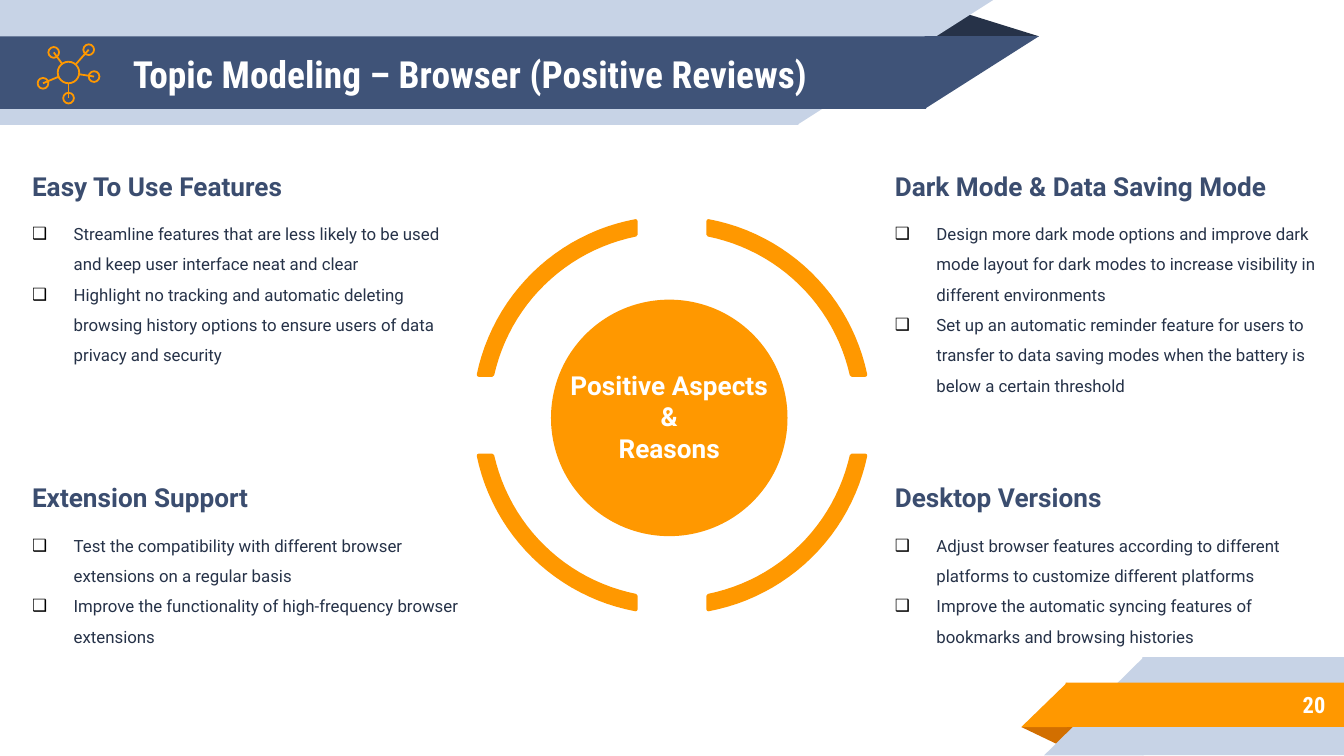
from math import acos, asin, cos, hypot, sin

from lxml.etree import SubElement
from pptx import Presentation
from pptx.dml.color import RGBColor
from pptx.enum.shapes import MSO_CONNECTOR as Connector, MSO_SHAPE as Shape
from pptx.enum.text import MSO_ANCHOR as Anchor, MSO_AUTO_SIZE as AutoSize, PP_ALIGN as Align
from pptx.oxml.ns import qn
from pptx.util import Inches, Pt

# Content
TITLE = "Topic Modeling – Browser (Positive Reviews)"
PAGE_NUMBER = "20"
CENTER_LINES = ["Positive Aspects", "&", "Reasons"]
# column, row, heading, body height, bullets
TOPICS = [
    (1, 0, "Dark Mode & Data Saving Mode", 1.44, [
        "Design more dark mode options and improve dark mode layout for dark modes "
        "to increase visibility in different environments",
        "Set up an automatic reminder feature for users to transfer to data saving "
        "modes when the battery is below a certain threshold"]),
    (1, 1, "Desktop Versions", 0.98, [
        "Adjust browser features according to different platforms to customize "
        "different platforms",
        "Improve the automatic syncing features of bookmarks and browsing histories"]),
    (0, 0, "Easy To Use Features", 1.21, [
        "Streamline features that are less likely to be used and keep user interface "
        "neat and clear",
        "Highlight no tracking and automatic deleting browsing history options to "
        "ensure users of data privacy and security"]),
    (0, 1, "Extension Support", 0.98, [
        "Test the compatibility with different browser extensions on a regular basis",
        "Improve the functionality of high-frequency browser extensions"]),
]

COLORS = {"dark": "263248", "pale": "C7D3E6", "navy": "3F5378", "heading": "3B4D6F",
          "orange": "FF9800", "rust": "D26F00", "white": "FFFFFF", "black": "000000"}

# Layout, in inches
SLIDE_WIDTH = 10
SLIDE_HEIGHT = SLIDE_WIDTH * 9 / 16
COLUMN_LEFTS = (0.14, 6.56)
ROW_TOPS = ((1.22, 1.54), (3.53, 3.86))  # heading, body
HEADING_WIDTH, HEADING_HEIGHT, BODY_WIDTH = 3.54, 0.34, 3.44
INDENT = 0.31

# shape, left, top, width, height, color, rotation, flipped; triangles overlap their band
BANNERS = [
    (Shape.ISOSCELES_TRIANGLE, 6.88, 0.09, 0.85, 0.18, "dark", 0, False),
    (Shape.RECTANGLE, 0, 0, 5.94, 0.93, "pale", 180, True),
    (Shape.RIGHT_TRIANGLE, 5.93, 0, 1.46, 0.93, "pale", 180, True),
    (Shape.RECTANGLE, 0, 0.27, 6.89, 0.54, "navy", 180, True),
    (Shape.RIGHT_TRIANGLE, 6.88, 0.27, 0.85, 0.54, "navy", 180, True),
    (Shape.ISOSCELES_TRIANGLE, 7.6, 5.41, 0.43, 0.14, "rust", 180, False),
    (Shape.RECTANGLE, 8.5, 4.89, 1.5, 0.73, "pale", 0, True),
    (Shape.RIGHT_TRIANGLE, 7.77, 4.89, 0.74, 0.73, "pale", 0, True),
    (Shape.RECTANGLE, 7.93, 5.08, 2.07, 0.33, "orange", 0, True),
    (Shape.RIGHT_TRIANGLE, 7.6, 5.08, 0.34, 0.33, "orange", 0, True),
]

# Network icon: hub and nodes given by their centers
HUB, HUB_RADIUS, NODE_RADIUS, ICON_LINE = (0.51, 0.54), 0.08, 0.04, 0.96
NODES = [(0.66, 0.37), (0.4, 0.39), (0.32, 0.62), (0.51, 0.73), (0.7, 0.57)]

# Ring: four arcs around a disc, cut square at half a gap from each axis
DISC_CENTER, DISC_RADIUS = (4.98, 3.11), 0.88
RING_CENTER, OUTER_RADIUS, INNER_RADIUS = (5, 3.09), 1.47, 1.37
HALF_GAP_X, HALF_GAP_Y, STEPS = 0.27, 0.3, 24

presentation = Presentation()
presentation.slide_width = Inches(SLIDE_WIDTH)
presentation.slide_height = Inches(SLIDE_HEIGHT)
slide = presentation.slides.add_slide(presentation.slide_layouts[6])


def rgb(name):
    return RGBColor.from_string(COLORS[name])


def paint(shape, fill=None, line=None, width=1):
    shape.shadow.inherit = False
    if fill:
        shape.fill.solid()
        shape.fill.fore_color.rgb = rgb(fill)
    else:
        shape.fill.background()
    if line:
        shape.line.color.rgb = rgb(line)
        shape.line.width = Pt(width)
    else:
        shape.line.fill.background()


def add_preset(kind, left, top, width, height):
    return slide.shapes.add_shape(kind, Inches(left), Inches(top), Inches(width), Inches(height))


def add_circle(center, radius, **style):
    x, y = center
    paint(add_preset(Shape.OVAL, x - radius, y - radius, 2 * radius, 2 * radius), **style)


def add_bullet(paragraph):
    properties = paragraph._p.get_or_add_pPr()
    properties.set("marL", str(Inches(INDENT)))
    properties.set("indent", str(-Inches(INDENT)))
    color = SubElement(properties, qn("a:buClr"))
    SubElement(color, qn("a:srgbClr"), val=COLORS["black"])
    SubElement(properties, qn("a:buFont"), typeface="Roboto")
    SubElement(properties, qn("a:buChar"), char="❑")


def add_text(box, lines, size, color, font="Roboto", bold=True, align=Align.LEFT,
             bullets=False, middle=False):
    shape = slide.shapes.add_textbox(*map(Inches, box))
    frame = shape.text_frame
    frame.word_wrap = True
    if middle:
        frame.vertical_anchor = Anchor.MIDDLE
        frame.margin_top = frame.margin_bottom = Inches(0.1)
    else:
        frame.auto_size = AutoSize.SHAPE_TO_FIT_TEXT
    for number, line in enumerate(lines):
        paragraph = frame.add_paragraph() if number else frame.paragraphs[0]
        paragraph.alignment = align
        if bullets:
            add_bullet(paragraph)
            paragraph.line_spacing = 1.5
        run = paragraph.add_run()
        run.text = line
        run.font.name, run.font.size, run.font.bold = font, Pt(size), bold
        run.font.color.rgb = rgb(color)


def add_arc(side_x, side_y):
    def edge(radius):
        start, end = asin(HALF_GAP_Y / radius), acos(HALF_GAP_X / radius)
        angles = [start + (end - start) * step / STEPS for step in range(STEPS + 1)]
        return [(Inches(RING_CENTER[0] + side_x * radius * cos(angle)),
                 Inches(RING_CENTER[1] + side_y * radius * sin(angle))) for angle in angles]

    points = edge(OUTER_RADIUS) + edge(INNER_RADIUS)[::-1]
    builder = slide.shapes.build_freeform(*points[0])
    builder.add_line_segments(points[1:], close=True)
    paint(builder.convert_to_shape(), fill="orange", line="orange", width=2)


# Header and footer banners
for kind, left, top, width, height, color, rotation, flipped in BANNERS:
    banner = add_preset(kind, left, top, width, height)
    paint(banner, fill=color)
    banner.rotation = rotation
    if flipped:
        banner._element.spPr.xfrm.set("flipH", "1")
    if kind == Shape.ISOSCELES_TRIANGLE:
        banner.adjustments[0] = 0.32

add_text((0.89, 0.27, 5.75, 0.56), [TITLE], 20, "white", "Roboto Condensed", middle=True)
add_text((8.33, 5.07, 1.63, 0.35), [PAGE_NUMBER], 12, "white", "Roboto Condensed",
         align=Align.RIGHT, middle=True)

# Network icon
add_circle(HUB, HUB_RADIUS, line="orange", width=ICON_LINE)
for node in NODES:
    add_circle(node, NODE_RADIUS, line="orange", width=ICON_LINE)
    run_x, run_y = node[0] - HUB[0], node[1] - HUB[1]
    share = HUB_RADIUS / hypot(run_x, run_y)
    spoke = slide.shapes.add_connector(
        Connector.STRAIGHT, Inches(HUB[0] + share * run_x), Inches(HUB[1] + share * run_y),
        Inches(node[0]), Inches(node[1]))
    spoke.line.color.rgb = rgb("orange")
    spoke.line.width = Pt(ICON_LINE)
    SubElement(spoke._element.spPr, qn("a:effectLst"))

# Four topics
for column, row, heading, body_height, bullets in TOPICS:
    left = COLUMN_LEFTS[column]
    heading_top, body_top = ROW_TOPS[row]
    add_text((left, heading_top, HEADING_WIDTH, HEADING_HEIGHT), [heading], 14, "heading")
    add_text((left, body_top, BODY_WIDTH, body_height), bullets, 9, "dark",
             bold=False, bullets=True)

# Central disc and ring
add_circle(DISC_CENTER, DISC_RADIUS, fill="orange")
for side_x, side_y in ((-1, -1), (1, -1), (1, 1), (-1, 1)):
    add_arc(side_x, side_y)
add_text((4.05, 2.7, 1.86, 0.81), CENTER_LINES, 14, "white", align=Align.CENTER)

presentation.save("out.pptx")
